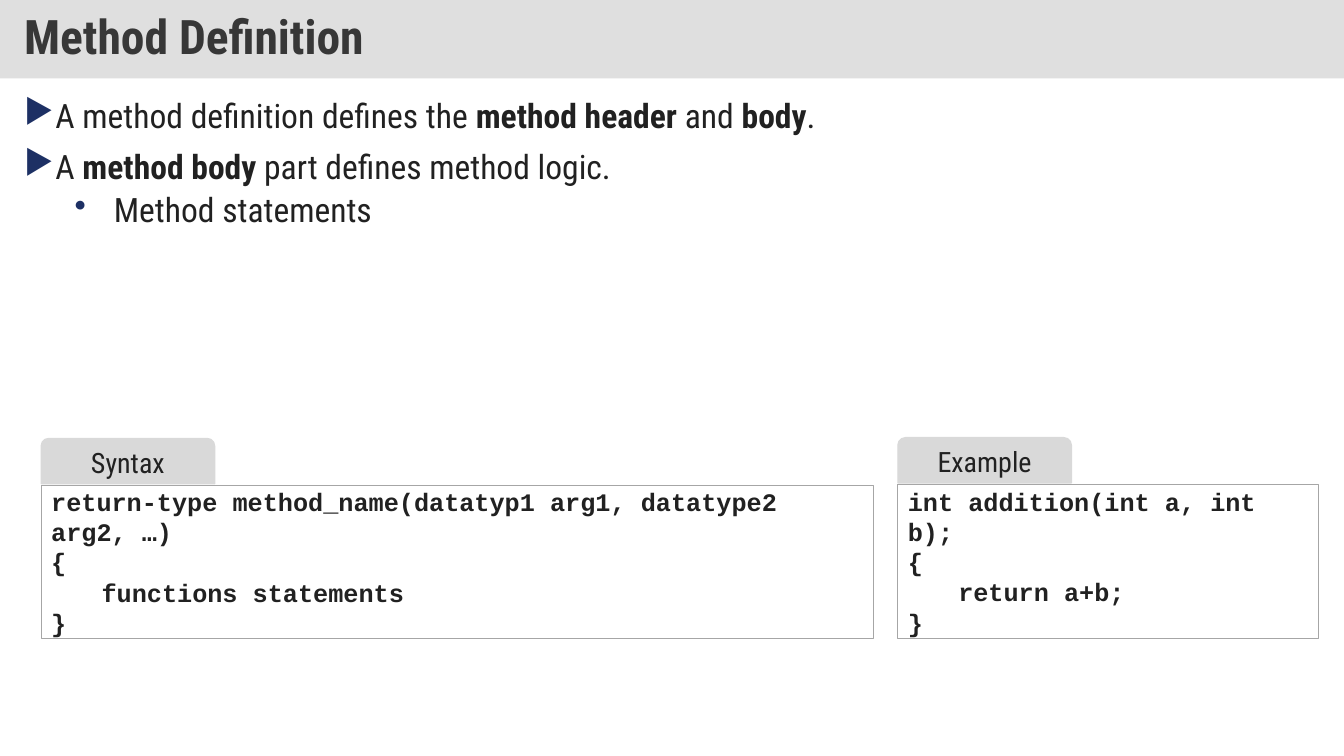
from dataclasses import dataclass
from lxml.etree import SubElement as Sub
from pptx import Presentation
from pptx.dml.color import RGBColor as Color
from pptx.enum.shapes import MSO_SHAPE as Kind
from pptx.enum.text import MSO_ANCHOR as Anchor, PP_ALIGN as Align
from pptx.oxml.ns import qn
from pptx.util import Cm, Pt


@dataclass(frozen=True)
class Theme:
    sans: str = "Roboto Condensed"
    mono: str = "Courier New"
    ink: str = "212121"
    head: str = "373737"
    band: str = "C0C0C0"
    mark: str = "1D3064"
    edge: str = "A6A6A6"
    tab: str = "D9D9D9"
    title: int = 34
    body: int = 24
    label: int = 20
    code: int = 18


theme = Theme()


def add_box(kind, area, fill=None, line=None, width=1):
    box = slide.shapes.add_shape(kind, *[Cm(n) for n in area])
    box.shadow.inherit = False
    if fill:
        box.fill.solid()
        box.fill.fore_color.rgb = Color.from_string(fill)
    else:
        box.fill.background()
    if line:
        box.line.color.rgb = Color.from_string(line)
        box.line.width = Pt(width)
    else:
        box.line.fill.background()
    box.text_frame.word_wrap = True
    box.text_frame.vertical_anchor = Anchor.MIDDLE
    return box


def add_run(para, text, size, face=theme.sans, bold=False, color=theme.ink):
    run = para.add_run()
    run.text = text
    run.font.size = Pt(size)
    run.font.name = face
    run.font.bold = bold
    run.font.color.rgb = Color.from_string(color)


deck = Presentation()
deck.slide_width, deck.slide_height = Cm(33.87), Cm(19.05)
slide = deck.slides.add_slide(deck.slide_layouts[6])

band = add_box(Kind.RECTANGLE, (0, 0, 33.87, 1.98), theme.band)
tint = band.fill._xPr.find(".//" + qn("a:srgbClr"))
Sub(tint, qn("a:alpha"), val="50000")
frame = band.text_frame
frame.margin_left = frame.margin_right = Cm(0.61)
frame.margin_top = frame.margin_bottom = Cm(0.3)
para = frame.paragraphs[0]
para.alignment = Align.LEFT
para.line_spacing = 0.9
add_run(para, "Method Definition", theme.title, bold=True, color=theme.head)

points = [
    (0, "▶", 0.74, 0.74, 0, [("A method definition defines the ", False), ("method header ", True),
                             ("and ", False), ("body", True), (".", False)]),
    (0, "▶", 0.74, 0.74, 10, [("A ", False), ("method body ", True),
                              ("part defines method logic.", False)]),
    (1, "•", 2.26, 0.99, 5, [("Method statements", False)]),
]
body = slide.shapes.add_textbox(Cm(0.36), Cm(2.39), Cm(33.15), Cm(8.64))
frame = body.text_frame
frame.word_wrap = True
for i, (level, sign, left, hang, gap, parts) in enumerate(points):
    para = frame.add_paragraph() if i else frame.paragraphs[0]
    para.level = level
    para.alignment = Align.JUSTIFY
    para.line_spacing = 0.9
    para.space_before = Pt(gap)
    props = para._p.get_or_add_pPr()
    props.set("marL", str(Cm(left)))
    props.set("indent", str(-Cm(hang)))
    Sub(Sub(props, qn("a:buClr")), qn("a:srgbClr"), val=theme.mark)
    Sub(props, qn("a:buChar"), char=sign)
    for text, bold in parts:
        add_run(para, text, theme.body, bold=bold)

panels = [
    ("Syntax", 1.04, 12.24, 20.98,
     ["return-type method_name(datatyp1 arg1, datatype2 arg2, …)", "{",
      "\tfunctions statements", "}"]),
    ("Example", 22.63, 12.22, 10.59,
     ["int addition(int a, int b);", "{", "\treturn a+b;", "}"]),
]
for name, left, top, width, lines in panels:
    box = add_box(Kind.RECTANGLE, (left, top, width, 16.08 - top), line=theme.edge, width=0.75)
    frame = box.text_frame
    for i, text in enumerate(lines):
        para = frame.add_paragraph() if i else frame.paragraphs[0]
        para.alignment = Align.LEFT
        add_run(para, text, theme.code, theme.mono, True)

    tab = add_box(Kind.ROUND_2_SAME_RECTANGLE, (left, top - 1.19, 4.37, 1.14), theme.tab, theme.tab)
    frame = tab.text_frame
    frame.margin_top = frame.margin_bottom = 0
    para = frame.paragraphs[0]
    para.alignment = Align.CENTER
    add_run(para, name, theme.label)

deck.save("out.pptx")
